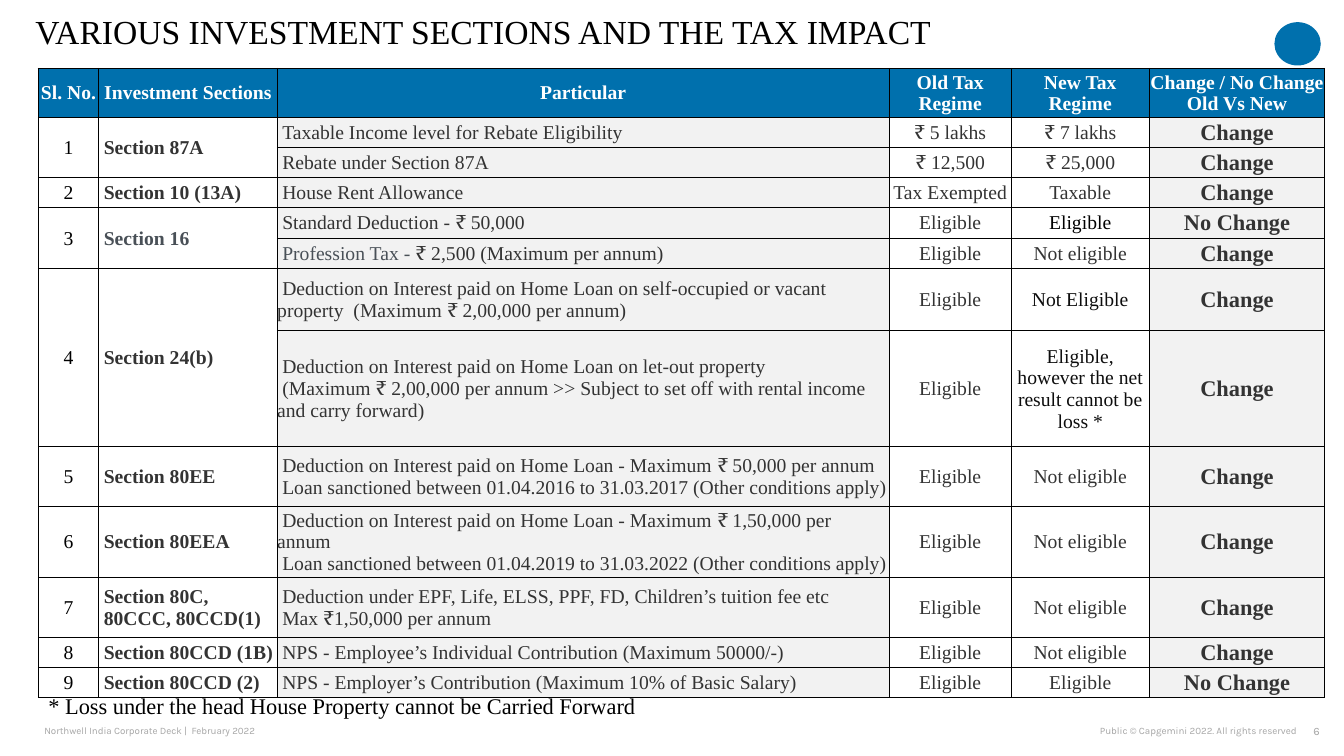
from pptx import Presentation
from pptx.dml.color import RGBColor
from pptx.enum.shapes import MSO_SHAPE
from pptx.enum.text import MSO_ANCHOR, PP_ALIGN
from pptx.oxml.ns import qn
from pptx.util import Inches, Pt
from lxml.etree import SubElement

COLOURS = {
    "blue": "0070AD", "white": "FFFFFF", "black": "000000", "ink": "0D0D0D",
    "text": "333333", "slate": "495057", "band": "F2F2F2", "footer": "A6A6A6",
}
SERIF = "Times New Roman"
FOOTER_FONT = "Karla"

COLUMN_WIDTHS = [0.6, 1.77, 6.07, 1.21, 1.37, 1.74]
ROW_HEIGHTS = [0.48] + [0.3] * 5 + [0.62, 1.15] + [0.59] * 3 + [0.3] * 2
HEADINGS = ["Sl. No.", "Investment Sections", "Particular", "Old Tax Regime",
            "New Tax Regime", "Change / No Change\nOld Vs New"]

# A cell holds plain text, or a list of (text, colour) spans.
# None continues the cell above.
ROWS = [
    ("1", "Section 87A", "Taxable Income level for Rebate Eligibility",
     "₹ 5 lakhs", "₹ 7 lakhs", "Change"),
    (None, None, "Rebate under Section 87A", "₹ 12,500", "₹ 25,000", "Change"),
    ("2", "Section 10 (13A)", "House Rent Allowance",
     "Tax Exempted", "Taxable", "Change"),
    ("3", [("Section 16", "slate")], "Standard Deduction - ₹ 50,000",
     "Eligible", [("Eligible", "black")], "No Change"),
    (None, None,
     [("Profession Tax - ", "slate"), ("₹ 2,500 (Maximum per annum)", "text")],
     "Eligible", "Not eligible", "Change"),
    ("4", "Section 24(b)",
     "Deduction on Interest paid on Home Loan on self-occupied or vacant "
     "property  (Maximum ₹ 2,00,000 per annum)",
     "Eligible", [("Not Eligible", "ink")], "Change"),
    (None, None,
     "Deduction on Interest paid on Home Loan on let-out property\n"
     "(Maximum ₹ 2,00,000 per annum >> Subject to set off with rental income "
     "and carry forward)",
     "Eligible",
     [("Eligible, however the net result cannot be loss *", "ink")], "Change"),
    ("5", "Section 80EE",
     "Deduction on Interest paid on Home Loan - Maximum ₹ 50,000 per annum\n"
     "Loan sanctioned between 01.04.2016 to 31.03.2017 (Other conditions apply)",
     "Eligible", "Not eligible", "Change"),
    ("6", "Section 80EEA",
     "Deduction on Interest paid on Home Loan - Maximum ₹ 1,50,000 per annum\n"
     "Loan sanctioned between 01.04.2019 to 31.03.2022 (Other conditions apply)",
     "Eligible", "Not eligible", "Change"),
    ("7", "Section 80C,\n80CCC, 80CCD(1)",
     "Deduction under EPF, Life, ELSS, PPF, FD, Children’s tuition fee etc\n"
     "Max ₹1,50,000 per annum",
     "Eligible", "Not eligible", "Change"),
    ("8", "Section 80CCD (1B)",
     "NPS - Employee’s Individual Contribution (Maximum 50000/-)",
     "Eligible", "Not eligible", "Change"),
    ("9", "Section 80CCD (2)",
     "NPS - Employer’s Contribution (Maximum 10% of Basic Salary)",
     "Eligible", "Eligible", "No Change"),
]

# One style per column: size, bold, colour, alignment, fill
COLUMN_STYLES = [
    (14, False, "black", PP_ALIGN.CENTER, "white"),
    (14, True, "text", PP_ALIGN.LEFT, "white"),
    (14, False, "text", PP_ALIGN.LEFT, "band"),
    (14, False, "text", PP_ALIGN.CENTER, "white"),
    (14, False, "text", PP_ALIGN.CENTER, "white"),
    (16, True, "text", PP_ALIGN.CENTER, "band"),
]
HEADING_STYLE = (14, True, "white", PP_ALIGN.CENTER, "blue")


def rgb(name):
    return RGBColor.from_string(COLOURS[name])


def style_paragraph(para, size, colour, align=PP_ALIGN.LEFT, font=SERIF, bold=False):
    para.alignment = align
    para.font.name = font
    para.font.size = Pt(size)
    para.font.bold = bold
    para.font.color.rgb = rgb(colour)


def add_text(page, text, left, top, width, height, size, colour="black",
             align=PP_ALIGN.LEFT, font=SERIF, anchor=MSO_ANCHOR.MIDDLE):
    """Add a one-line text box without insets and return it."""
    box = page.shapes.add_textbox(Inches(left), Inches(top), Inches(width), Inches(height))
    frame = box.text_frame
    frame.word_wrap = True
    frame.vertical_anchor = anchor
    frame.margin_left = frame.margin_right = 0
    frame.margin_top = frame.margin_bottom = 0
    frame.text = text
    style_paragraph(frame.paragraphs[0], size, colour, align, font)
    return box


def add_borders(cell, outer_width):
    """Draw black edges; the bottom edge is always half a point."""
    properties = cell._tc.get_or_add_tcPr()
    for side in "LRTB":
        width = 0.5 if side == "B" else outer_width
        line = SubElement(properties, qn(f"a:ln{side}"), w=str(Pt(width)))
        fill = SubElement(line, qn("a:solidFill"))
        SubElement(fill, qn("a:srgbClr"), val=COLOURS["black"])


def fill_cell(cell, content, style, border_width=0.5):
    size, bold, colour, align, fill = style
    add_borders(cell, border_width)
    cell.fill.solid()
    cell.fill.fore_color.rgb = rgb(fill)
    cell.vertical_anchor = MSO_ANCHOR.MIDDLE
    cell.margin_left = cell.margin_right = cell.margin_bottom = 0
    cell.margin_top = Inches(0.01)
    if content is None:
        return
    if isinstance(content, str):
        lines = [[(line, colour)] for line in content.split("\n")]
    else:
        lines = [content]
    frame = cell.text_frame
    for index, spans in enumerate(lines):
        para = frame.add_paragraph() if index else frame.paragraphs[0]
        if align == PP_ALIGN.LEFT:
            para._p.get_or_add_pPr().set("indent", str(Inches(0.05)))
        style_paragraph(para, size, spans[0][1], align, bold=bold)
        for text, span_colour in spans:
            span = para.add_run()
            span.text = text
            if len(spans) > 1:
                span.font.color.rgb = rgb(span_colour)


def add_tax_table(page):
    table = page.shapes.add_table(
        len(ROW_HEIGHTS), len(COLUMN_WIDTHS), Inches(0.38), Inches(0.68),
        Inches(sum(COLUMN_WIDTHS)), Inches(sum(ROW_HEIGHTS))).table
    table.first_row = table.horz_banding = False
    for column, width in zip(table.columns, COLUMN_WIDTHS):
        column.width = Inches(width)
    for row, height in zip(table.rows, ROW_HEIGHTS):
        row.height = Inches(height)
    for column, heading in enumerate(HEADINGS):
        fill_cell(table.cell(0, column), heading, HEADING_STYLE, border_width=1)
    for row, contents in enumerate(ROWS, start=1):
        for column, content in enumerate(contents):
            cell = table.cell(row, column)
            fill_cell(cell, content, COLUMN_STYLES[column])
            if content is None:
                table.cell(row - 1, column).merge(cell)


def add_emblem(page):
    emblem = page.shapes.add_shape(
        MSO_SHAPE.OVAL, Inches(12.64), Inches(0.22), Inches(0.46), Inches(0.43))
    emblem.shadow.inherit = False
    emblem.fill.solid()
    emblem.fill.fore_color.rgb = rgb("blue")
    emblem.line.fill.background()


def add_footer(page):
    add_text(page, "Northwell India Corporate Deck |  February 2022",
             0.44, 7.13, 3.73, 0.24, 7, "footer", font=FOOTER_FONT)
    add_text(page, "6", 12.84, 7.13, 0.25, 0.24, 8, "footer",
             PP_ALIGN.RIGHT, FOOTER_FONT)
    add_text(page, "Public © Capgemini 2022. All rights reserved",
             7.9, 7.13, 4.96, 0.24, 7, "footer", PP_ALIGN.RIGHT, FOOTER_FONT)


def main():
    deck = Presentation()
    deck.slide_width, deck.slide_height = Inches(13.33), Inches(7.5)
    page = deck.slides.add_slide(deck.slide_layouts[6])
    add_emblem(page)
    add_footer(page)
    title = add_text(page, "VARIOUS INVESTMENT SECTIONS AND THE TAX IMPACT",
                     0.35, 0.17, 12.39, 0.34, 24)
    title.text_frame.paragraphs[0].line_spacing = Pt(24)
    add_tax_table(page)
    add_text(page, "* Loss under the head House Property cannot be Carried Forward",
             0.48, 6.87, 6.11, 0.27, 16, anchor=MSO_ANCHOR.TOP)
    deck.save("out.pptx")


if __name__ == "__main__":
    main()
